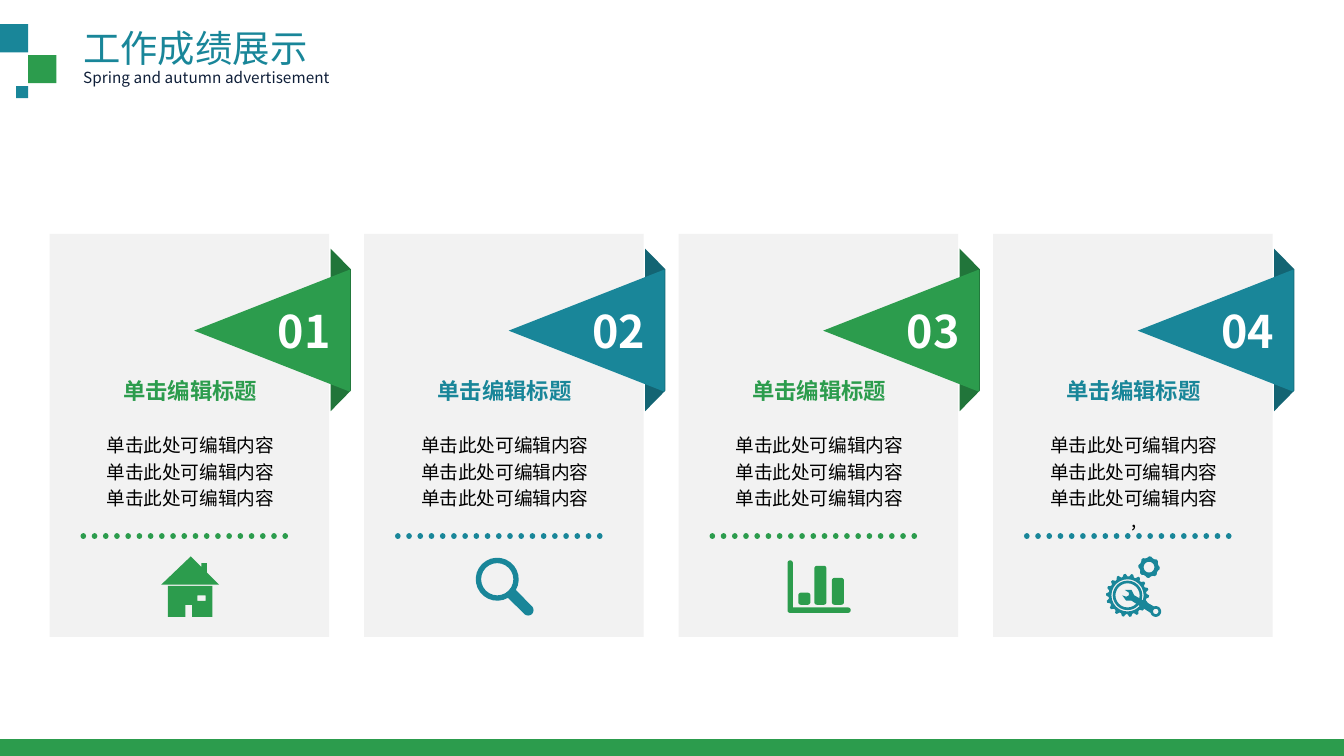
from math import cos, radians, sin

from lxml.etree import SubElement
from pptx import Presentation
from pptx.dml.color import RGBColor
from pptx.enum.dml import MSO_LINE
from pptx.enum.shapes import MSO_CONNECTOR, MSO_SHAPE
from pptx.enum.text import MSO_ANCHOR, PP_ALIGN
from pptx.oxml.ns import qn
from pptx.util import Inches, Pt

TEAL, GREEN = "198699", "2C9C4D"
DARK_TEAL, DARK_GREEN = "136473", "21753A"
BODY_LINE = "单击此处可编辑内容"


def color(value):
    return RGBColor.from_string(value)


def polar(x, y, radius, degrees):
    return x + radius * cos(radians(degrees)), y + radius * sin(radians(degrees))


def arc(x, y, radius, start=0, end=360, steps=24):
    return [polar(x, y, radius, start + (end - start) * i / steps) for i in range(steps + 1)]


def gear(x, y, radius, teeth):
    return [polar(x, y, radius if step % 4 < 2 else radius * 0.88, step * 90 / teeth)
            for step in range(teeth * 4)]


def box(left, top, right, bottom):
    return [(left, top), (right, top), (right, bottom), (left, bottom)]


def round_box(left, top, right, bottom, radius):
    centres = box(left + radius, top + radius, right - radius, bottom - radius)
    return [point for i, (x, y) in enumerate(centres)
            for point in arc(x, y, radius, 180 + 90 * i, 270 + 90 * i, 6)]


HOUSE = [[
    [(0.83, 4.35), (1.05, 4.14), (1.13, 4.22), (1.13, 4.19),
     (1.17, 4.19), (1.17, 4.26), (1.26, 4.35)],
    [(0.88, 4.36), (1.21, 4.36), (1.21, 4.59), (1.06, 4.59),
     (1.06, 4.5), (1.01, 4.5), (1.01, 4.59), (0.88, 4.59)],
    box(1.1, 4.43, 1.16, 4.47),
]]
MAGNIFIER = [[
    arc(0.99, 4.31, 0.16, 60, 390) + arc(1.22, 4.54, 0.04, -45, 135),
    arc(0.99, 4.31, 0.12),
]]
BARS = [[
    arc(0.83, 4.19, 0.02, 180, 360) + [(0.85, 4.52)]
    + arc(1.26, 4.54, 0.02, -90, 90) + arc(0.83, 4.54, 0.02, 90, 180),
    *[round_box(left, top, left + 0.09, 4.5, 0.02)
      for left, top in [(0.89, 4.41), (1.01, 4.21), (1.14, 4.3)]],
]]
GEARS = [
    [gear(1, 4.43, 0.16, 18),
     *[arc(1, 4.43, radius) for radius in (0.12, 0.11, 0.09)],
     gear(1.16, 4.22, 0.08, 8), arc(1.16, 4.22, 0.04)],
    [arc(1.21, 4.55, 0.04, -110, 165)
     + [(1.03, 4.47), (0.99, 4.47), (0.96, 4.43), (0.99, 4.44), (1.01, 4.43),
        (1.01, 4.41), (0.98, 4.39), (1.03, 4.39), (1.05, 4.43)],
     arc(1.21, 4.55, 0.02)],
]


class SlideWriter:
    font = "Noto Sans CJK SC"

    def __init__(self, slide):
        self.shapes = slide.shapes

    def paint(self, shape, fill):
        shape.shadow.inherit = False
        shape.fill.solid()
        shape.fill.fore_color.rgb = color(fill)
        shape.line.fill.background()
        return shape

    def shape(self, kind, left, top, width, height, fill, rotation=0):
        shape = self.shapes.add_shape(
            kind, Inches(left), Inches(top), Inches(width), Inches(height))
        shape.rotation = rotation
        return self.paint(shape, fill)

    def run(self, paragraph, text, size, ink, bold=False):
        run = paragraph.add_run()
        run.text = text
        run.font.size = Pt(size)
        run.font.bold = bold
        run.font.color.rgb = color(ink)
        run.font.name = self.font
        SubElement(run.font._element, qn("a:ea"), typeface=self.font)

    def text(self, left, top, width, height, wrap=True):
        textbox = self.shapes.add_textbox(
            Inches(left), Inches(top), Inches(width), Inches(height))
        textbox.text_frame.word_wrap = wrap
        return textbox.text_frame

    def dots(self, left, right, y, ink):
        line = self.shapes.add_connector(
            MSO_CONNECTOR.STRAIGHT, Inches(left), Inches(y), Inches(right), Inches(y))
        line.line.color.rgb = color(ink)
        line.line.width = Pt(3)
        line.line.dash_style = MSO_LINE.ROUND_DOT
        properties = line._element.spPr
        properties.find(qn("a:ln")).set("cap", "rnd")
        SubElement(properties, qn("a:effectLst"))

    def outline(self, left, contours, fill):
        placed = [[(Inches(left + x), Inches(y)) for x, y in points] for points in contours]
        builder = self.shapes.build_freeform(*placed[0][0])
        builder.add_line_segments(placed[0][1:], close=True)
        for points in placed[1:]:
            builder.move_to(*points[0])
            builder.add_line_segments(points[1:], close=True)
        self.paint(builder.convert_to_shape(), fill)

    def ribbon(self, left, number, fill, dark):
        fold = self.shape(MSO_SHAPE.TRAPEZOID, left + 1.56, 2.38, 1.21, 0.15, dark, 90)
        fold.adjustments[0] = 1.02
        flag = self.shape(MSO_SHAPE.ISOSCELES_TRIANGLE, left + 1.2, 1.88, 0.91, 1.16, fill, 270)
        frame = flag.text_frame
        frame.word_wrap = False
        frame.vertical_anchor = MSO_ANCHOR.MIDDLE
        frame.margin_bottom = Inches(0.2)
        frame._txBody.bodyPr.set("vert", "vert")
        frame.paragraphs[0].alignment = PP_ALIGN.CENTER
        self.run(frame.paragraphs[0], number, 24, "FFFFFF", True)
        self.shapes.add_group_shape([fold, flag])

    def card(self, left, number, fill, dark, icon, ending):
        self.shape(MSO_SHAPE.RECTANGLE, left, 1.74, 2.08, 3, "F2F2F2")
        self.ribbon(left, number, fill, dark)
        self.dots(left + 0.25, left + 1.83, 3.99, fill)
        frame = self.text(left + 0.07, 2.76, 1.95, 1.28)
        heading = frame.paragraphs[0]
        heading.alignment = PP_ALIGN.CENTER
        self.run(heading, "单击编辑标题", 12, fill, True)
        for gap in (16, 2, 2):
            body = frame.add_paragraph()
            body.alignment = PP_ALIGN.CENTER
            body.space_before = Pt(gap)
            self.run(body, BODY_LINE, 10, "000000")
        if ending:
            body.add_line_break()
            self.run(body, ending, 10, "000000")
        for contours in icon:
            self.outline(left, contours, fill)


def main():
    deck = Presentation()
    deck.slide_width = Inches(10)
    deck.slide_height = deck.slide_width * 9 // 16
    writer = SlideWriter(deck.slides.add_slide(deck.slide_layouts[6]))

    title = writer.text(0.52, 0.14, 1.87, 0.44, wrap=False)
    writer.run(title.paragraphs[0], "工作成绩展示", 20, TEAL)
    subtitle = writer.text(0.52, 0.42, 2.35, 0.28)
    subtitle.paragraphs[0].line_spacing = 1.3
    writer.run(subtitle.paragraphs[0], "Spring and autumn advertisement", 8.25, "0F1F39")

    squares = [
        writer.shape(MSO_SHAPE.RECTANGLE, left, top, side, side, fill)
        for left, top, side, fill in [
            (0, 0.18, 0.21, TEAL), (0.21, 0.41, 0.21, GREEN), (0.12, 0.64, 0.09, TEAL)]
    ]
    writer.shapes.add_group_shape(squares)
    writer.shape(MSO_SHAPE.RECTANGLE, 0, 5.5, 10, 0.13, GREEN)

    cards = [
        ("01", GREEN, DARK_GREEN, HOUSE, ""),
        ("02", TEAL, DARK_TEAL, MAGNIFIER, ""),
        ("03", GREEN, DARK_GREEN, BARS, ""),
        ("04", TEAL, DARK_TEAL, GEARS, ","),
    ]
    for index, card in enumerate(cards):
        writer.card(0.37 + 2.34 * index, *card)
    deck.save("out.pptx")


if __name__ == "__main__":
    main()
